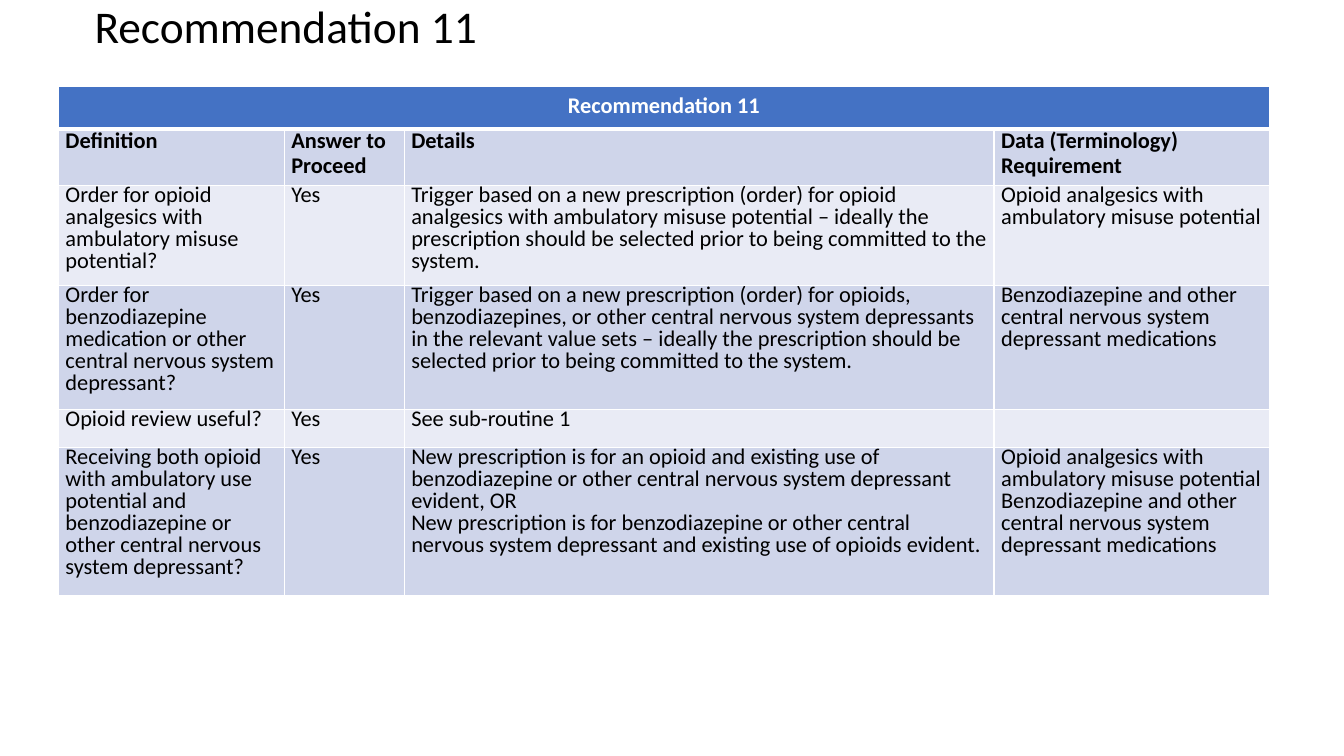
import pptx
import pptx.util
import pptx.oxml
import pptx.oxml.ns
import pptx.dml.color
import pptx.enum.text

COLORS = {"text": "000000", "white": "FFFFFF", "header": "4472C4",
          "dark_band": "CFD5EA", "light_band": "E9EBF5"}
SLIDE_WIDTH, SLIDE_HEIGHT = 13.33, 7.5
TABLE_LEFT, TABLE_TOP = 0.58, 0.86
COLUMN_WIDTHS = [2.24, 1.19, 5.85, 2.73]
ROW_HEIGHTS = [0.42, 0.56, 0.99, 1.23, 0.38, 1.47]

TITLE = "Recommendation 11"
OPIOIDS = "Opioid analgesics with ambulatory misuse potential"
DEPRESSANTS = "Benzodiazepine and other central nervous system depressant medications"
HEADINGS = ["Definition", "Answer to Proceed", "Details",
            "Data (Terminology) Requirement"]
CRITERIA = [
    ["Order for opioid analgesics with ambulatory misuse potential?", "Yes",
     "Trigger based on a new prescription (order) for opioid analgesics with "
     "ambulatory misuse potential – ideally the prescription should be "
     "selected prior to being committed to the system.", OPIOIDS],
    ["Order for benzodiazepine medication or other central nervous system "
     "depressant?", "Yes",
     "Trigger based on a new prescription (order) for opioids, "
     "benzodiazepines, or other central nervous system depressants in the "
     "relevant value sets – ideally the prescription should be selected "
     "prior to being committed to the system.", DEPRESSANTS],
    ["Opioid review useful?", "Yes", "See sub-routine 1", ""],
    ["Receiving both opioid with ambulatory use potential and benzodiazepine "
     "or other central nervous system depressant?", "Yes",
     "New prescription is for an opioid and existing use of benzodiazepine or "
     "other central nervous system depressant evident, OR\n"
     "New prescription is for benzodiazepine or other central nervous system "
     "depressant and existing use of opioids evident.",
     OPIOIDS + "\n" + DEPRESSANTS],
]

BODY_MARGINS = {"margin_left": pptx.util.Inches(0.07), "margin_top": 0,
                "margin_right": pptx.util.Inches(0.07), "margin_bottom": 0}
CENTERED = pptx.enum.text.PP_ALIGN.CENTER


def rgb(color):
    return pptx.dml.color.RGBColor.from_string(COLORS[color])


def set_attributes(target, values):
    for attribute, value in values.items():
        setattr(target, attribute, value)


def write(frame, wording, size, color="text", bold=False, **paragraph_format):
    """Fill a text frame, one paragraph per line of wording."""
    frame.text = wording
    for paragraph in frame.paragraphs:
        set_attributes(paragraph, paragraph_format)
        set_attributes(paragraph.font, {"name": "Calibri", "bold": bold,
                                        "size": pptx.util.Pt(size)})
        paragraph.font.color.rgb = rgb(color)


def set_borders(cell, top=1, bottom=1):
    """Draw white cell edges; widths are in points."""
    properties = cell._tc.get_or_add_tcPr()
    for side, width in {"L": 1, "R": 1, "T": top, "B": bottom}.items():
        properties.append(pptx.oxml.parse_xml(
            f'<a:ln{side} {pptx.oxml.ns.nsdecls("a")} w="{pptx.util.Pt(width)}">'
            f'<a:solidFill><a:srgbClr val="{COLORS["white"]}"/></a:solidFill>'
            f'</a:ln{side}>'))


def fill_cell(cell, color):
    cell.fill.solid()
    cell.fill.fore_color.rgb = rgb(color)


def add_title(slide):
    heading = slide.shapes.add_textbox(
        *map(pptx.util.Inches, (0.84, 0, 11.5, 0.58))).text_frame
    set_attributes(heading, {
        "word_wrap": True,
        "vertical_anchor": pptx.enum.text.MSO_ANCHOR.MIDDLE})
    write(heading, TITLE, 32.4, line_spacing=0.9)


def add_banner(table):
    for cell in table.rows[0].cells:
        set_borders(cell, bottom=3)
        fill_cell(cell, "header")
    banner = table.cell(0, 0)
    banner.merge(table.cell(0, len(COLUMN_WIDTHS) - 1))
    write(banner.text_frame, TITLE, 16, "white", True, alignment=CENTERED)


def add_criteria_table(slide):
    table = slide.shapes.add_table(
        len(ROW_HEIGHTS), len(COLUMN_WIDTHS),
        *map(pptx.util.Inches, (TABLE_LEFT, TABLE_TOP, sum(COLUMN_WIDTHS),
                                sum(ROW_HEIGHTS)))).table
    for column, width in zip(table.columns, COLUMN_WIDTHS):
        column.width = pptx.util.Inches(width)
    for row, height in zip(table.rows, ROW_HEIGHTS):
        row.height = pptx.util.Inches(height)
    add_banner(table)
    for number, wordings in enumerate([HEADINGS] + CRITERIA, start=1):
        is_heading = number == 1
        for cell, wording in zip(table.rows[number].cells, wordings):
            set_attributes(cell, BODY_MARGINS)
            set_borders(cell, top=3 if is_heading else 1)
            fill_cell(cell, "dark_band" if number % 2 else "light_band")
            write(cell.text_frame, wording, 16, bold=is_heading,
                  line_spacing=0.9 if is_heading else 0.8)


def main():
    deck = pptx.Presentation()
    deck.slide_width = pptx.util.Inches(SLIDE_WIDTH)
    deck.slide_height = pptx.util.Inches(SLIDE_HEIGHT)
    slide = deck.slides.add_slide(deck.slide_layouts[6])
    add_title(slide)
    add_criteria_table(slide)
    deck.save("out.pptx")


if __name__ == "__main__":
    main()
